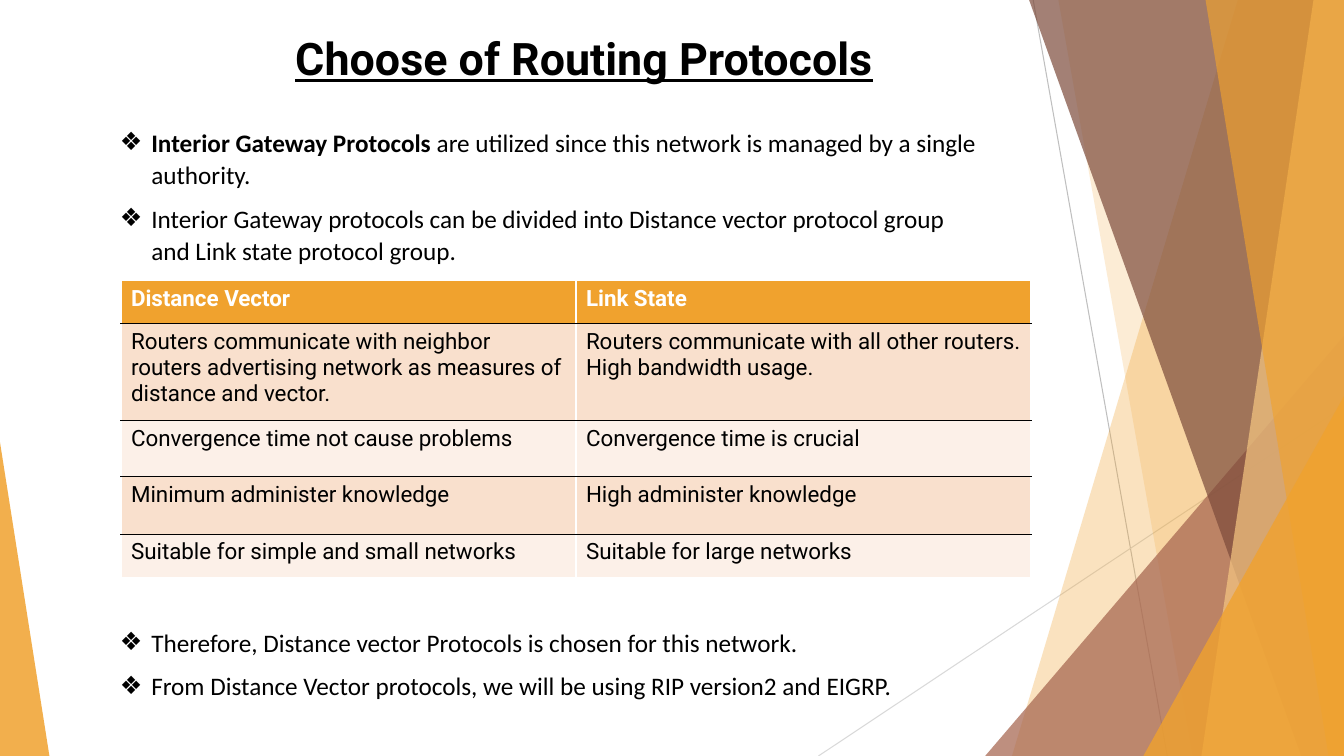
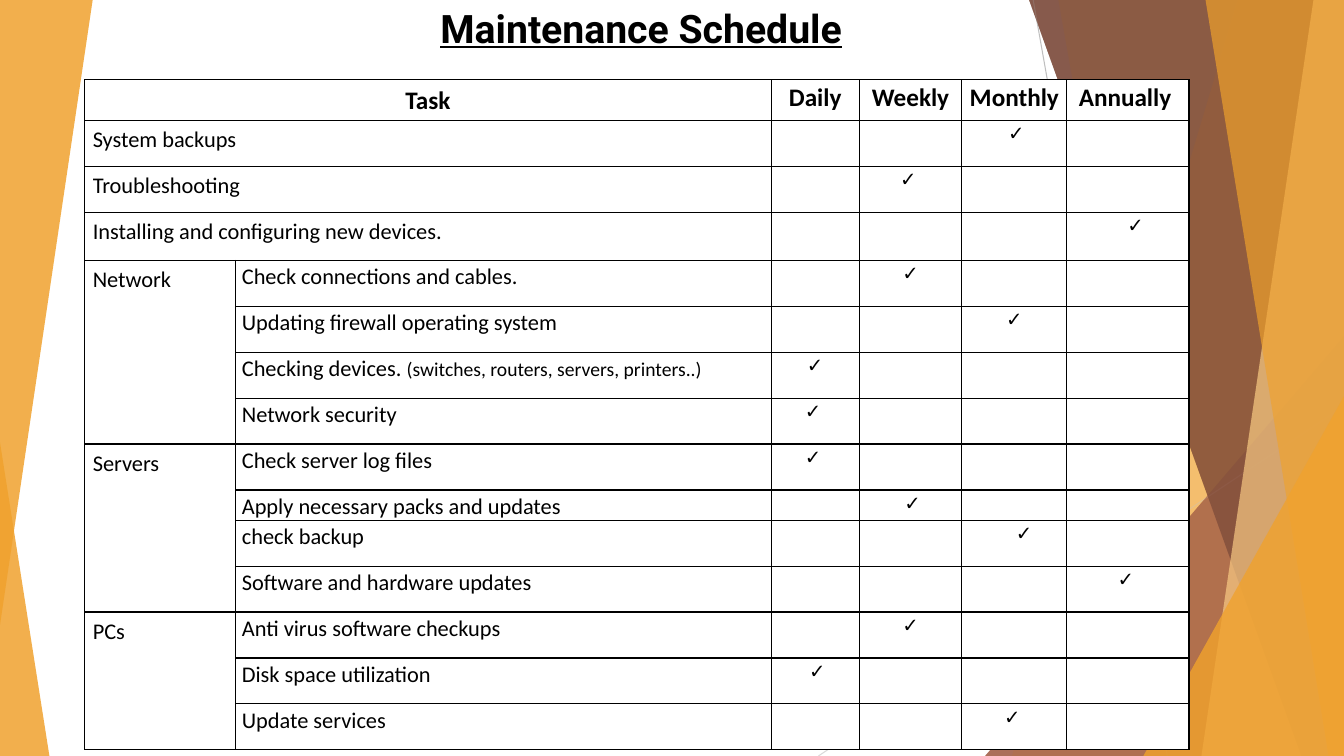
from dataclasses import dataclass
from typing import Any, NamedTuple

from lxml.etree import SubElement
from pptx import Presentation
from pptx.dml.color import RGBColor
from pptx.enum.shapes import MSO_CONNECTOR as CONNECTOR, MSO_SHAPE as SHAPE
from pptx.enum.text import PP_ALIGN as ALIGN
from pptx.oxml.ns import qn
from pptx.util import Pt

WIDTH, HEIGHT = 960, 540
COLORS = {
    "black": "000000", "white": "FFFFFF", "orange": "F0A22E", "sand": "F6C782",
    "rust": "A5644E", "brown": "7C4B3B", "peach": "F9E0CD", "cream": "FCF0E8",
    "gray": "BFBFBF", "silver": "D9D9D9",
}
TITLE = {"name": "Roboto", "size": Pt(32), "bold": True, "underline": True}
SMALL_TITLE = TITLE | {"size": Pt(28)}
BODY = {"name": "Calibri", "size": Pt(18), "bold": False}
STRONG = BODY | {"bold": True}
TASK = BODY | {"size": Pt(16)}
NOTE = BODY | {"size": Pt(14)}
CHECK = {"name": "Arial", "size": Pt(14), "bold": False}
CELL = {"name": "Roboto", "size": Pt(16), "bold": False}
CELL_HEAD = CELL | {"bold": True}

WIDE_MARGINS = {"margin_left": Pt(5.8), "margin_right": Pt(5.8),
                "margin_top": Pt(2.9), "margin_bottom": Pt(2.9)}
TIGHT = 4.3
TIGHT_MARGINS = {"margin_left": Pt(TIGHT), "margin_right": Pt(TIGHT),
                 "margin_top": Pt(0.7), "margin_bottom": Pt(0)}


class Run(NamedTuple):
    text: str
    fmt: dict[str, Any]


@dataclass(frozen=True)
class Band:
    """Area from a slanted left edge to the right edge of the slide."""
    top_x: float
    bottom_x: float
    color: str
    alpha: int


@dataclass(frozen=True)
class Triangle:
    x: float
    y: float
    w: float
    h: float
    apex: int
    color: str
    alpha: int
    rotation: int = 0


@dataclass(frozen=True)
class Ray:
    x1: float
    y1: float
    x2: float
    y2: float
    color: str


@dataclass(frozen=True)
class Job:
    group: str
    task: str
    period: str
    shift: float = 0
    height: float = 32.8
    note: str = ""


RAYS = [Ray(738, 0, 833.8, HEIGHT, "gray"), Ray(WIDTH, 290.2, 584.6, HEIGHT, "silver")]
FACETS = [
    Band(884.2, 722.9, "orange", 30),
    Band(756, 851.8, "orange", 20),
    Triangle(703.7, 240, 256.3, 300, 1, "rust", 72),
    Band(735.1, 929.5, "brown", 70),
    Band(938.2, 858.2, "sand", 70),
    Band(861.1, 949, "orange", 65),
    Triangle(816.7, 283, 143.3, 257, 1, "orange", 80),
]
LEFT_LOW = Triangle(0, 316, 35.3, 224, 0, "orange", 85)
LEFT_HIGH = Triangle(0, 0, 66.2, 446.4, 1, "orange", 85, 180)

COMPARISON = [
    ("Distance Vector", "Link State"),
    ("Routers communicate with neighbor routers advertising network as measures "
     "of distance and vector.",
     "Routers communicate with all other routers.\nHigh bandwidth usage."),
    ("Convergence time not cause problems", "Convergence time is crucial"),
    ("Minimum administer knowledge", "High administer knowledge"),
    ("Suitable for simple and small networks", "Suitable for large networks"),
]
PERIODS = ["Daily", "Weekly", "Monthly", "Annually"]
JOBS = [
    Job("", "System backups", "Monthly", 3),
    Job("", "Troubleshooting", "Weekly", -3),
    Job("", "Installing and configuring new devices.", "Annually", 11, 34.2),
    Job("Network", "Check connections and cables.", "Weekly"),
    Job("Network", "Updating firewall operating system", "Monthly"),
    Job("Network", "Checking devices. ", "Daily",
        note="(switches, routers, servers, printers..)"),
    Job("Network", "Network security", "Daily", -3),
    Job("Servers", "Check server log files", "Daily", -3),
    Job("Servers", "Apply necessary packs and updates", "Weekly", 3, 21.5),
    Job("Servers", "check backup", "Monthly", 14),
    Job("Servers", "Software and hardware updates", "Annually", -3),
    Job("PCs", "Anti virus software checkups", "Weekly"),
    Job("PCs", "Disk space utilization", "Daily", 3),
    Job("PCs", "Update services", "Monthly", -3),
]


def rgb(color: str) -> RGBColor:
    return RGBColor.from_string(COLORS[color])


def apply(target, values: dict[str, Any]) -> None:
    for name, value in values.items():
        setattr(target, name, value)


def add_runs(p, runs: list[Run], color: str = "black") -> None:
    for run in runs:
        r = p.add_run()
        r.text = run.text
        apply(r.font, run.fmt)
        r.font.color.rgb = rgb(color)


def draw_facet(s, facet: Band | Triangle) -> None:
    if isinstance(facet, Band):
        builder = s.shapes.build_freeform(Pt(facet.top_x), 0)
        corners = [(WIDTH, 0), (WIDTH, HEIGHT), (facet.bottom_x, HEIGHT)]
        builder.add_line_segments([(Pt(x), Pt(y)) for x, y in corners], close=True)
        sp = builder.convert_to_shape()
    else:
        sp = s.shapes.add_shape(SHAPE.ISOSCELES_TRIANGLE, Pt(facet.x), Pt(facet.y),
                                Pt(facet.w), Pt(facet.h))
        sp.adjustments[0] = facet.apex
        sp.rotation = facet.rotation
    sp.shadow.inherit = False
    sp.line.fill.background()
    sp.fill.solid()
    sp.fill.fore_color.rgb = rgb(facet.color)
    clr = sp._element.spPr.find(qn("a:solidFill")).find(qn("a:srgbClr"))
    SubElement(clr, qn("a:alpha")).set("val", str(facet.alpha * 1000))


def draw_ray(s, ray: Ray) -> None:
    line = s.shapes.add_connector(CONNECTOR.STRAIGHT, Pt(ray.x1), Pt(ray.y1),
                                  Pt(ray.x2), Pt(ray.y2))
    line.line.color.rgb = rgb(ray.color)
    line.line.width = Pt(0.75)
    SubElement(line._element.spPr, qn("a:effectLst"))


def draw_facets(s, left: Triangle) -> None:
    for facet in [*FACETS, left]:
        draw_facet(s, facet)


def draw_rays(s) -> None:
    for ray in RAYS:
        draw_ray(s, ray)


def add_text_box(s, x: float, y: float, w: float, h: float):
    tf = s.shapes.add_textbox(Pt(x), Pt(y), Pt(w), Pt(h)).text_frame
    tf.word_wrap = True
    return tf


def add_title(s, text: str, x: float, y: float, w: float, h: float,
              fmt: dict[str, Any], align: ALIGN) -> None:
    p = add_text_box(s, x, y, w, h).paragraphs[0]
    p.alignment = align
    add_runs(p, [Run(text, fmt)])


def add_bullets(s, items: list[list[Run]], gap_before: dict[int, float]) -> None:
    """Write bulleted paragraphs; gap_before gives extra space above an item."""
    tf = add_text_box(s, 78.5, 85.7, 633.6, 425)
    for i, runs in enumerate(items):
        p = tf.paragraphs[0] if i == 0 else tf.add_paragraph()
        apply(p, {"line_spacing": 1.07, "space_after": Pt(8),
                  "space_before": Pt(gap_before.get(i, 0))})
        ppr = p._p.get_or_add_pPr()
        ppr.set("marL", str(Pt(22.5)))
        ppr.set("indent", str(-Pt(22.5)))
        SubElement(ppr, qn("a:buFont")).set("typeface", "Arial")
        SubElement(ppr, qn("a:buChar")).set("char", "❖")
        add_runs(p, runs)


def add_grid(s, x: float, y: float, widths: list[float], heights: list[float]):
    table = s.shapes.add_table(len(heights), len(widths), Pt(x), Pt(y),
                               Pt(sum(widths)), Pt(sum(heights))).table
    table.first_row = table.horz_banding = False
    for column, width in zip(table.columns, widths):
        column.width = Pt(width)
    for row, height in zip(table.rows, heights):
        row.height = Pt(height)
    return table


def style_cell(cell, fill: str, sides: str, top: str, bottom: str) -> None:
    """Set the border colours, then the fill."""
    tcpr = cell._tc.get_or_add_tcPr()
    for side, color in zip("LRTB", (sides, sides, top, bottom)):
        ln = SubElement(tcpr, qn(f"a:ln{side}"), w=str(Pt(1)))
        solid = SubElement(ln, qn("a:solidFill"))
        SubElement(solid, qn("a:srgbClr")).set("val", COLORS[color])
    cell.fill.solid()
    cell.fill.fore_color.rgb = rgb(fill)


def add_comparison(s) -> None:
    heights = [31, 69.1, 40.3, 41, 31]
    table = add_grid(s, 86.4, 200.2, [325, 325], heights)
    last = len(COMPARISON) - 1
    for i, texts in enumerate(COMPARISON):
        head = i == 0
        fill = "orange" if head else ("cream", "peach")[i % 2]
        for j, text in enumerate(texts):
            cell = table.cell(i, j)
            style_cell(cell, fill, "white", "white" if head else "black",
                       "white" if i == last else "black")
            tf = cell.text_frame
            for k, line in enumerate(text.split("\n")):
                p = tf.add_paragraph() if k else tf.paragraphs[0]
                add_runs(p, [Run(line, CELL_HEAD if head else CELL)],
                         "white" if head else "black")


def fill_cell(cell, runs: list[Run], margins: dict[str, Any],
              align: ALIGN = ALIGN.LEFT, shift: float = 0) -> None:
    """Write one paragraph; shift moves it right, or left when negative."""
    apply(cell, margins)
    if shift:
        cell.margin_left = Pt(TIGHT + max(shift, 0))
        cell.margin_right = Pt(TIGHT + max(-shift, 0))
    p = cell.text_frame.paragraphs[0]
    apply(p, {"alignment": align, "line_spacing": 1.07})
    add_runs(p, runs)


def add_schedule(s) -> None:
    widths = [108, 382.4, 62.8, 73.4, 75, 87.2]
    table = add_grid(s, 60.5, 56.9, widths, [28.4, *(job.height for job in JOBS)])
    for cell in table.iter_cells():
        style_cell(cell, "white", "black", "black", "black")
        apply(cell, TIGHT_MARGINS)
        end = SubElement(cell.text_frame.paragraphs[0]._p, qn("a:endParaRPr"))
        end.set("sz", "1400")

    table.cell(0, 0).merge(table.cell(0, 1))
    fill_cell(table.cell(0, 0), [Run("Task", STRONG)], WIDE_MARGINS, ALIGN.CENTER)
    for j, period in enumerate(PERIODS, 2):
        shift = -4 if period == "Annually" else 0
        fill_cell(table.cell(0, j), [Run(period, STRONG)], TIGHT_MARGINS,
                  ALIGN.CENTER, shift)

    groups = [job.group for job in JOBS]
    for i, job in enumerate(JOBS, 1):
        runs = [Run(job.task, TASK)]
        if job.note:
            runs.append(Run(job.note, NOTE))
        first = table.cell(i, 0)
        if not job.group:
            first.merge(table.cell(i, 1))
            fill_cell(first, runs, WIDE_MARGINS)
        else:
            fill_cell(table.cell(i, 1), runs, TIGHT_MARGINS)
            if groups.index(job.group) == i - 1:
                first.merge(table.cell(i + groups.count(job.group) - 1, 0))
                fill_cell(first, [Run(job.group, TASK)], WIDE_MARGINS)
        fill_cell(table.cell(i, 2 + PERIODS.index(job.period)), [Run("✓", CHECK)],
                  TIGHT_MARGINS, ALIGN.CENTER, job.shift)


def build_protocols(s) -> None:
    draw_rays(s)
    draw_facets(s, LEFT_LOW)
    add_bullets(s, [
        [Run("Interior Gateway Protocols ", STRONG),
         Run("are utilized since this network is managed by a single authority.", BODY)],
        [Run("Interior Gateway protocols can be divided into Distance vector protocol "
             "group and Link state protocol group.", BODY)],
        [Run("Therefore, Distance vector Protocols is chosen for this network.", BODY)],
        [Run("From Distance Vector protocols, we will be using RIP version2 and EIGRP.",
             BODY)],
    ], gap_before={2: 248.6})
    add_title(s, "Choose of Routing Protocols", 203.8, 18.7, 482.4, 46, TITLE, ALIGN.LEFT)
    add_comparison(s)


def build_schedule(s) -> None:
    draw_facets(s, LEFT_LOW)
    draw_rays(s)
    draw_facets(s, LEFT_HIGH)
    add_schedule(s)
    add_title(s, "Maintenance Schedule", 203, -0.7, 509.8, 41, SMALL_TITLE, ALIGN.CENTER)


def main() -> None:
    prs = Presentation()
    prs.slide_width, prs.slide_height = Pt(WIDTH), Pt(HEIGHT)
    for build in (build_protocols, build_schedule):
        build(prs.slides.add_slide(prs.slide_layouts[6]))
    prs.save("out.pptx")


if __name__ == "__main__":
    main()
